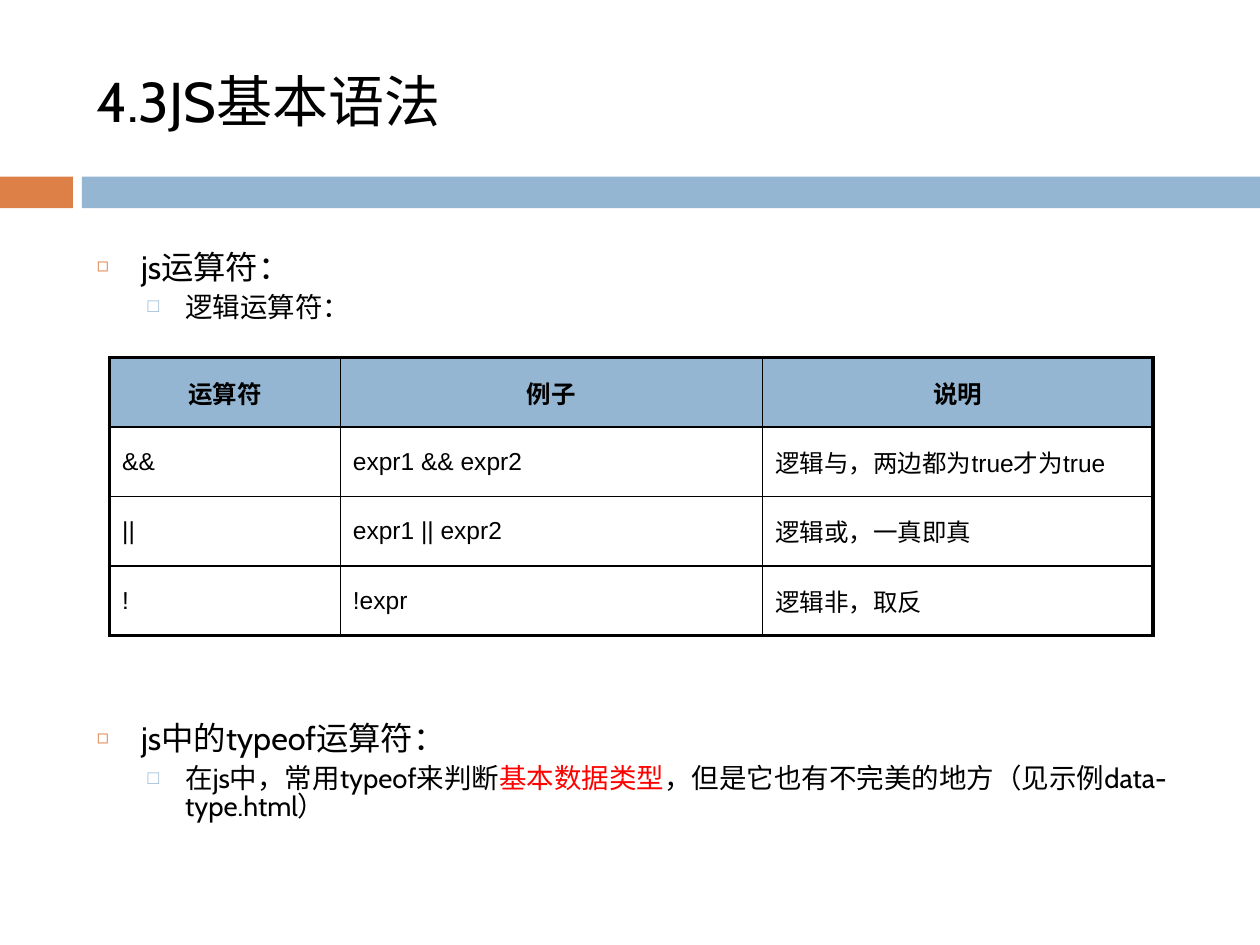
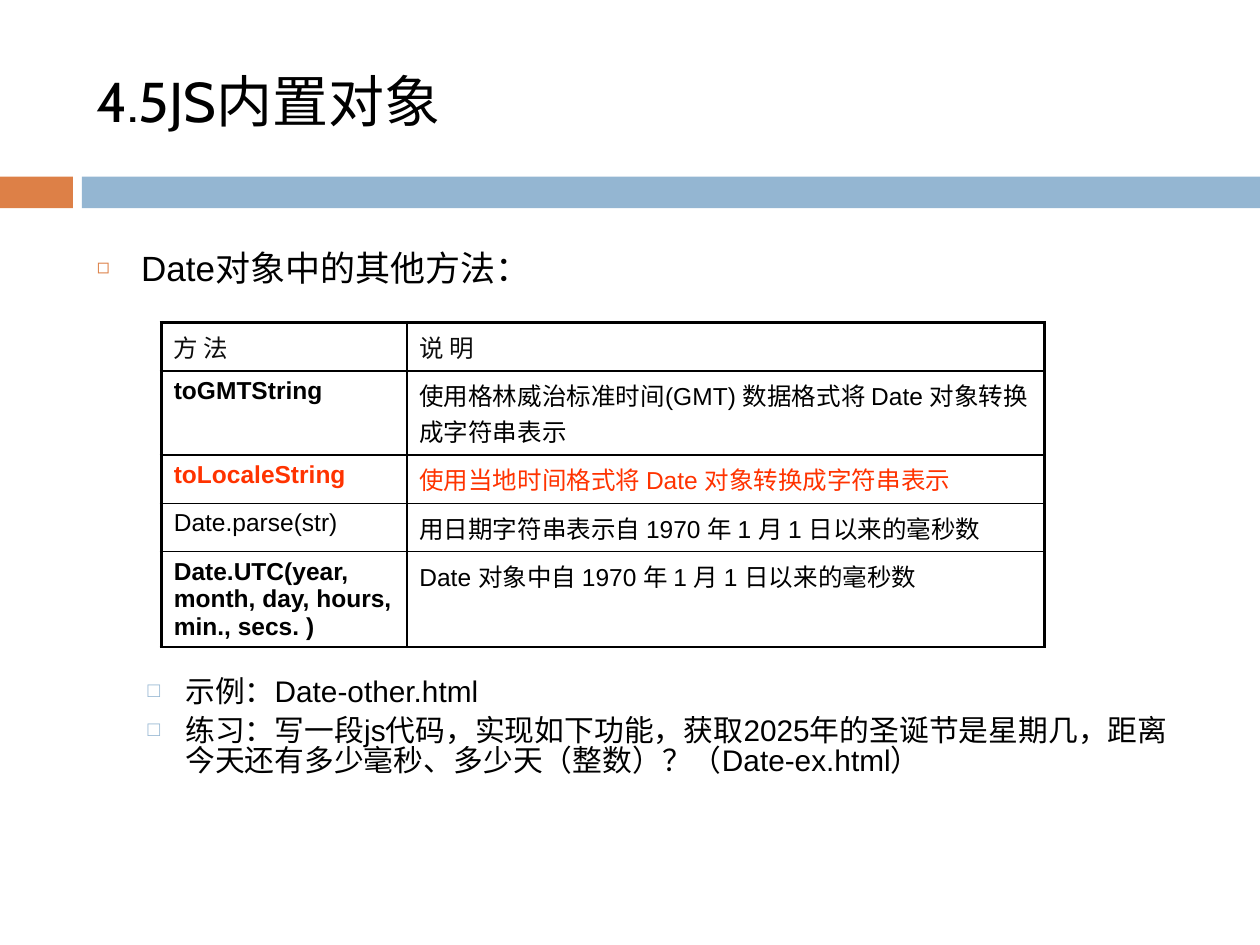
"""Build two JavaScript course slides with bulleted lists and reference tables."""
from dataclasses import dataclass

from lxml.etree import Element, SubElement
from pptx import Presentation
from pptx.dml.color import RGBColor as RGB
from pptx.enum.shapes import MSO_SHAPE as SHAPE
from pptx.enum.text import MSO_ANCHOR as ANCHOR, MSO_AUTO_SIZE as AUTO, PP_ALIGN as ALIGN
from pptx.oxml.ns import qn
from pptx.util import Cm, Pt


@dataclass(frozen=True)
class Theme:
    orange: str = "DD8047"
    blue: str = "94B6D2"
    black: str = "000000"
    dark: str = "0D0D0D"
    white: str = "FFFFFF"
    red: str = "FF0000"
    vermilion: str = "FF3300"
    heading: str = "Cabin"
    plain: str = "Arial"
    title_size: float = 32
    cell_size: float = 14
    line_spacing: float = 0.83
    thick: float = 2.25
    thin: float = 1


class Deck:
    LEVELS = (
        dict(char="◻", color="orange", size=60, left=0.89, hang=0.89, before=7),
        dict(char="□", color="blue", size=70, left=1.78, hang=0.76, before=5.5),
    )

    def __init__(self, theme):
        self.theme = theme
        self.prs = Presentation()
        self.prs.slide_width, self.prs.slide_height = Cm(25.4), Cm(19.05)
        self.s = None

    def font(self, r, size, name, color, bold=False):
        r.font.size, r.font.name, r.font.bold = Pt(size), name, bold
        r.font.color.rgb = RGB.from_string(color)

    def place(self, sp, left, top, width, height):
        sp.left, sp.top, sp.width, sp.height = Cm(left), Cm(top), Cm(width), Cm(height)
        sp.text_frame.auto_size = AUTO.NONE
        sp.text_frame.word_wrap = True

    def band(self, left, width, color):
        sp = self.s.shapes.add_shape(SHAPE.RECTANGLE, Cm(left), Cm(3.56), Cm(width), Cm(0.64))
        sp.shadow.inherit = False
        sp.fill.solid()
        sp.fill.fore_color.rgb = RGB.from_string(color)
        sp.line.fill.background()

    def slide(self, title):
        t = self.theme
        self.s = self.prs.slides.add_slide(self.prs.slide_layouts[1])
        self.band(0, 1.47, t.orange)
        self.band(1.65, 23.75, t.blue)
        sp = self.s.shapes.title
        self.place(sp, 1.7, 0.64, 22.66, 2.74)
        tf = sp.text_frame
        tf.vertical_anchor = ANCHOR.MIDDLE
        tf.text = title
        p = tf.paragraphs[0]
        p.alignment = ALIGN.LEFT
        self.font(p.runs[0], t.title_size, t.heading, t.black)

    def bullet(self, p, level, before):
        look = self.LEVELS[level]
        p.level = level
        p.line_spacing = self.theme.line_spacing
        p.space_before = Pt(before or look["before"])
        p.space_after = Pt(0)
        pPr = p._p.get_or_add_pPr()
        pPr.set("marL", str(Cm(look["left"])))
        pPr.set("indent", str(-Cm(look["hang"])))
        color = SubElement(pPr, qn("a:buClr"))
        SubElement(color, qn("a:srgbClr"), val=getattr(self.theme, look["color"]))
        SubElement(pPr, qn("a:buSzPct"), val=str(look["size"] * 1000))
        SubElement(pPr, qn("a:buChar"), char=look["char"])

    def bullets(self, items, sizes, font):
        t = self.theme
        sp = self.s.placeholders[1]
        self.place(sp, 1.7, 4.98, 22.66, 12.5)
        tf = sp.text_frame
        tf.vertical_anchor = ANCHOR.TOP
        for i, (level, before, *parts) in enumerate(items):
            p = tf.add_paragraph() if i else tf.paragraphs[0]
            self.bullet(p, level, before)
            for j, part in enumerate(parts):
                r = p.add_run()
                r.text = part
                self.font(r, sizes[level], font, t.red if j == 1 else t.black)

    def borders(self, cell, widths):
        tcPr = cell._tc.get_or_add_tcPr()
        for i, (side, width) in enumerate(zip("LRTB", widths)):
            ln = Element(qn(f"a:ln{side}"), w=str(Pt(width)))
            fill = SubElement(ln, qn("a:solidFill"))
            SubElement(fill, qn("a:srgbClr"), val=self.theme.black)
            tcPr.insert(i, ln)

    def cell_text(self, cell, align, color=None, bold=False):
        t = self.theme
        p = cell.text_frame.paragraphs[0]
        p.alignment = align
        self.font(p.runs[0], t.cell_size, t.plain, color or t.black, bold)

    def table(self, left, top, cols, heights, rows, anchor, align, fills, bottom):
        t = self.theme
        frame = self.s.shapes.add_table(len(rows), len(cols), Cm(left), Cm(top),
                                        Cm(sum(cols)), Cm(sum(heights)))
        tbl = frame.table
        tbl.first_row = tbl.horz_banding = False
        for col, width in zip(tbl.columns, cols):
            col.width = Cm(width)
        for i, (row, height, texts) in enumerate(zip(tbl.rows, heights, rows)):
            row.height = Cm(height)
            for j, text in enumerate(texts):
                cell = tbl.cell(i, j)
                cell.text = text
                cell.vertical_anchor = anchor
                self.cell_text(cell, align)
                fill = fills[min(i, 1)]
                if fill:
                    cell.fill.solid()
                    cell.fill.fore_color.rgb = RGB.from_string(fill)
                else:
                    cell.fill.background()
                self.borders(cell, (
                    t.thin if j else t.thick,
                    t.thick if j == len(cols) - 1 else t.thin,
                    t.thin if i else t.thick,
                    bottom if i == len(rows) - 1 else t.thin,
                ))
        return tbl


def logic_slide(deck):
    t = deck.theme
    deck.slide("4.3JS基本语法")
    deck.bullets([
        (0, None, "js运算符："),
        (1, None, "逻辑运算符："),
        (0, 230, "js中的typeof运算符："),
        (1, None, "在js中，常用typeof来判断", "基本数据类型",
         "，但是它也有不完美的地方（见示例data-type.html）"),
    ], (18.5, 15.7), t.heading)
    rows = [
        ("运算符", "例子", "说明"),
        ("&&", "expr1 && expr2", "逻辑与，两边都为true才为true"),
        ("||", "expr1 || expr2", "逻辑或，一真即真"),
        ("!", "!expr", "逻辑非，取反"),
    ]
    tbl = deck.table(2.21, 7.21, (4.65, 8.51, 7.87), [1.4] * len(rows), rows,
                     ANCHOR.MIDDLE, ALIGN.LEFT, (t.blue, None), t.thick)
    for cell in tbl.rows[0].cells:
        deck.cell_text(cell, ALIGN.CENTER, bold=True)


def date_slide(deck):
    t = deck.theme
    deck.slide("4.5JS内置对象")
    deck.bullets([
        (0, None, "Date对象中的其他方法："),
        (1, 223, "示例：Date-other.html"),
        (1, None, "练习：写一段js代码，实现如下功能，获取2025年的圣诞节是星期几，"
                  "距离今天还有多少毫秒、多少天（整数）？（Date-ex.html）"),
    ], (20, 17), t.plain)
    rows = [
        ("方 法", "说 明"),
        ("toGMTString", "使用格林威治标准时间(GMT) 数据格式将 Date 对象转换成字符串表示"),
        ("toLocaleString", "使用当地时间格式将 Date 对象转换成字符串表示"),
        ("Date.parse(str)", "用日期字符串表示自 1970 年 1 月 1 日以来的毫秒数"),
        ("Date.UTC(year, month, day, hours, min., secs. )",
         "Date 对象中自 1970 年 1 月 1 日以来的毫秒数"),
    ]
    tbl = deck.table(3.25, 6.5, (4.95, 12.85), (0.89, 1.45, 0.84, 0.84, 0.84), rows,
                     ANCHOR.TOP, ALIGN.JUSTIFY, (None, t.white), t.thin)
    for cell in tbl.rows[0].cells:
        deck.cell_text(cell, ALIGN.JUSTIFY, t.dark)
    deck.cell_text(tbl.cell(1, 0), ALIGN.JUSTIFY, bold=True)
    deck.cell_text(tbl.cell(1, 1), ALIGN.LEFT)
    deck.cell_text(tbl.cell(2, 0), ALIGN.JUSTIFY, t.vermilion, bold=True)
    deck.cell_text(tbl.cell(2, 1), ALIGN.JUSTIFY, t.vermilion)
    deck.cell_text(tbl.cell(4, 0), ALIGN.LEFT, bold=True)


def main():
    deck = Deck(Theme())
    logic_slide(deck)
    date_slide(deck)
    deck.prs.save("out.pptx")


if __name__ == "__main__":
    main()
